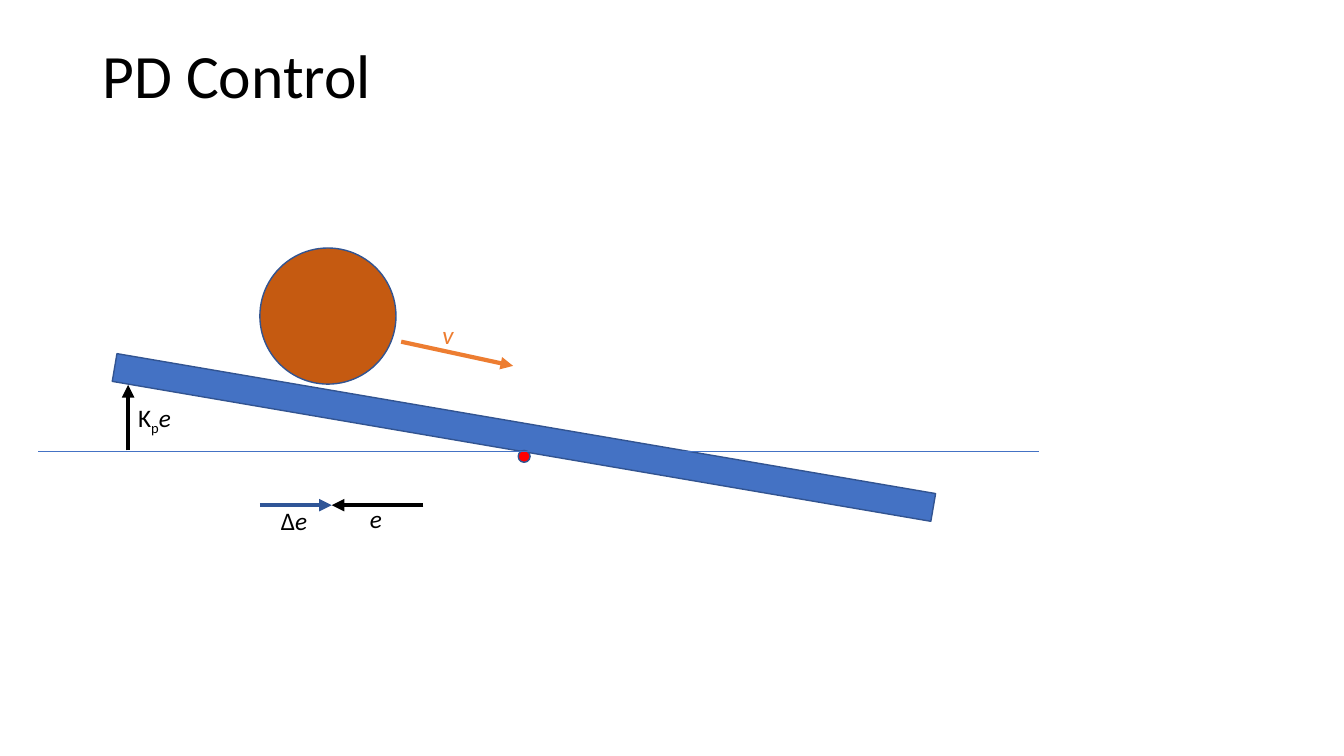
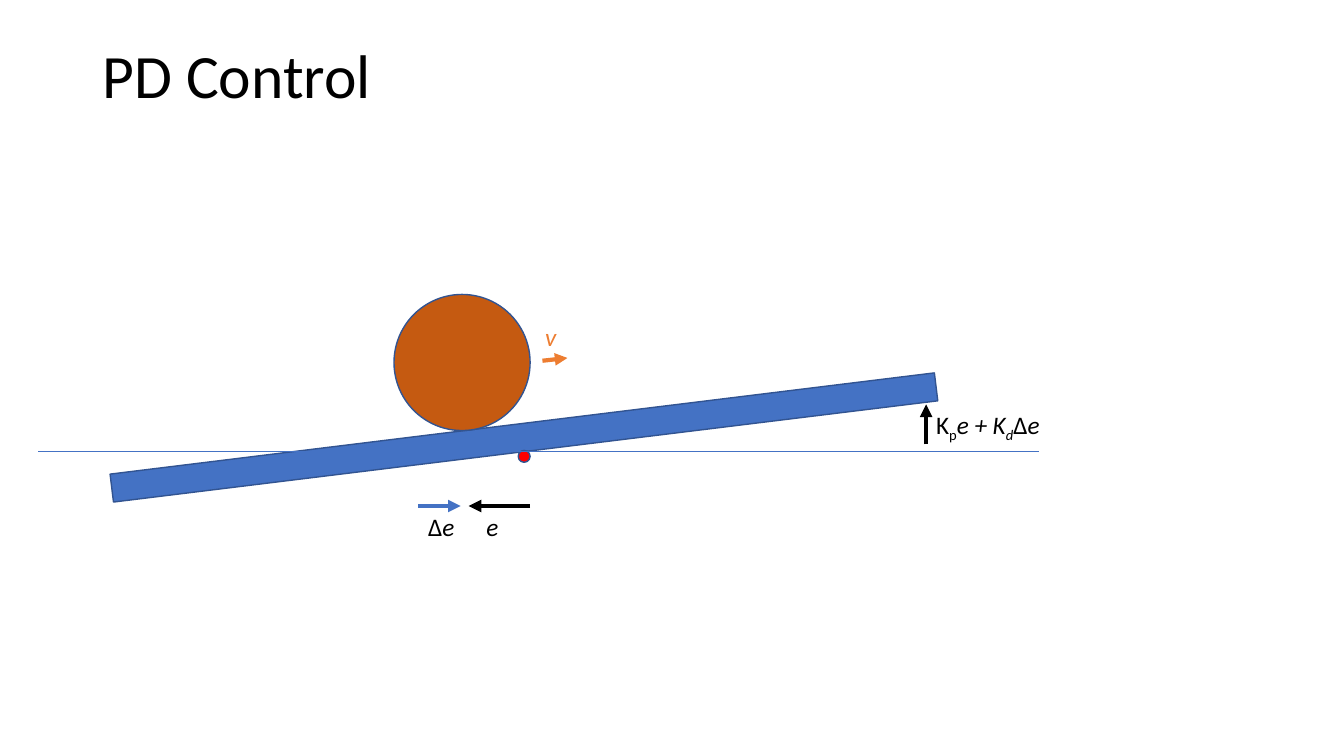
from dataclasses import dataclass

from lxml.etree import SubElement
from pptx import Presentation
from pptx.dml.color import RGBColor
from pptx.enum.shapes import MSO_CONNECTOR, MSO_SHAPE
from pptx.enum.text import MSO_ANCHOR, PP_ALIGN
from pptx.oxml.ns import qn
from pptx.util import Cm, Pt

FONT = "Calibri"
BLACK = "000000"
BLUE = "4472C4"
DARK_BLUE = "2F5597"
OUTLINE = "325491"
BROWN = "C55A11"
RED = "FF0000"
ORANGE = "ED7D31"

SCENE_BOX = (0.97, 6.25, 25.22, 7.5)
GROUND_HEIGHT = 5.13
BEAM = (1.77, 4.42, 20.93, 0.71)
PIVOT = (12.09, 5.1, 0.3, 0.3)
BALL_DIAMETER = 3.43
LABEL_HEIGHT = 1.02

ERROR = [("e", "italic")]
ERROR_CHANGE = [("Δ", ""), ("e", "italic")]
VELOCITY = [("v", "italic")]
PROPORTIONAL = [("K", ""), ("p", "sub"), ("e", "italic")]
PROPORTIONAL_DERIVATIVE = [
    ("K", ""), ("p", "sub"), ("e + K", "italic"),
    ("d", "italic sub"), ("Δ", ""), ("e", "italic"),
]


@dataclass
class Vector:
    start: tuple
    end: tuple
    color: str
    label: list
    label_box: tuple
    label_color: str = BLACK


@dataclass
class Scene:
    tilt: float
    ball: tuple
    vectors: list


SCENES = [
    Scene(9.7, (5.58, 0), [
        Vector((9.7, 6.48), (7.39, 6.48), BLACK, ERROR, (8.1, 6.3, 2.97)),
        Vector((2.26, 5.1), (2.26, 3.45), BLACK, PROPORTIONAL, (2.26, 3.76, 1.73)),
        Vector((9.14, 2.36), (11.96, 2.97), ORANGE, VELOCITY, (9.93, 1.67, 1), ORANGE),
        Vector((5.58, 6.48), (7.39, 6.48), DARK_BLUE, ERROR_CHANGE, (5.86, 6.37, 1.5)),
    ]),
    Scene(-7, (8.96, 1.17), [
        Vector((12.39, 6.5), (10.84, 6.5), BLACK, ERROR, (11.04, 6.5, 1)),
        Vector((12.7, 2.84), (13.33, 2.77), ORANGE, VELOCITY, (12.52, 1.73, 1), ORANGE),
        Vector((9.57, 6.5), (10.64, 6.5), BLUE, ERROR_CHANGE, (9.57, 6.5, 1.5)),
        Vector((22.37, 4.95), (22.37, 3.94), BLACK, PROPORTIONAL_DERIVATIVE,
               (22.37, 3.94, 3.94)),
    ]),
]


def set_color(color_format, value):
    color_format.rgb = RGBColor.from_string(value)


def add_solid(slide, preset, left, top, width, height, fill):
    shape = slide.shapes.add_shape(preset, Cm(left), Cm(top), Cm(width), Cm(height))
    shape.shadow.inherit = False
    shape.fill.solid()
    set_color(shape.fill.fore_color, fill)
    set_color(shape.line.color, OUTLINE)
    shape.line.width = Pt(1)
    return shape


def add_line(slide, start, end, color, width, arrow=False):
    connector = slide.shapes.add_connector(
        MSO_CONNECTOR.STRAIGHT, Cm(start[0]), Cm(start[1]), Cm(end[0]), Cm(end[1]))
    set_color(connector.line.color, color)
    connector.line.width = Pt(width)
    if arrow:
        outline = connector.line._get_or_add_ln()
        SubElement(outline, qn("a:tailEnd"), type="triangle")
    SubElement(connector._element.spPr, qn("a:effectLst"))


def add_label(slide, left, top, width, parts, color):
    box = slide.shapes.add_textbox(Cm(left), Cm(top), Cm(width), Cm(LABEL_HEIGHT))
    box.text_frame.word_wrap = True
    paragraph = box.text_frame.paragraphs[0]
    for text, style in parts:
        run = paragraph.add_run()
        run.text = text
        run.font.name = FONT
        run.font.size = Pt(18)
        run.font.italic = "italic" in style
        set_color(run.font.color, color)
        if "sub" in style:
            run.font._element.set("baseline", "-25000")


def format_title(slide, text):
    title = slide.shapes.title
    title.left, title.top, title.width, title.height = Cm(2.33), Cm(1.01), Cm(29.21), Cm(3.68)
    title.text_frame.text = text
    title.text_frame.vertical_anchor = MSO_ANCHOR.TOP
    paragraph = title.text_frame.paragraphs[0]
    paragraph.alignment = PP_ALIGN.LEFT
    paragraph.line_spacing = 0.9
    font = paragraph.runs[0].font
    font.name = FONT
    font.size = Pt(44)
    set_color(font.color, BLACK)


def draw_scene(slide, box, scene):
    left, top, width, _ = box

    def place(x, y, *size):
        return (left + x, top + y, *size)

    beam = add_solid(slide, MSO_SHAPE.RECTANGLE, *place(*BEAM), BLUE)
    beam.rotation = scene.tilt
    add_solid(slide, MSO_SHAPE.OVAL,
              *place(*scene.ball, BALL_DIAMETER, BALL_DIAMETER), BROWN)
    add_solid(slide, MSO_SHAPE.OVAL, *place(*PIVOT), RED)
    add_line(slide, place(0, GROUND_HEIGHT), place(width, GROUND_HEIGHT), BLUE, 0.5)
    for vector in scene.vectors:
        add_line(slide, place(*vector.start), place(*vector.end), vector.color, 3, arrow=True)
        add_label(slide, *place(*vector.label_box), vector.label, vector.label_color)


def main():
    presentation = Presentation()
    presentation.slide_width = Cm(33.87)
    presentation.slide_height = Cm(19.05)
    for scene in SCENES:
        slide = presentation.slides.add_slide(presentation.slide_layouts[5])
        format_title(slide, "PD Control")
        draw_scene(slide, SCENE_BOX, scene)
    presentation.save("out.pptx")


if __name__ == "__main__":
    main()
